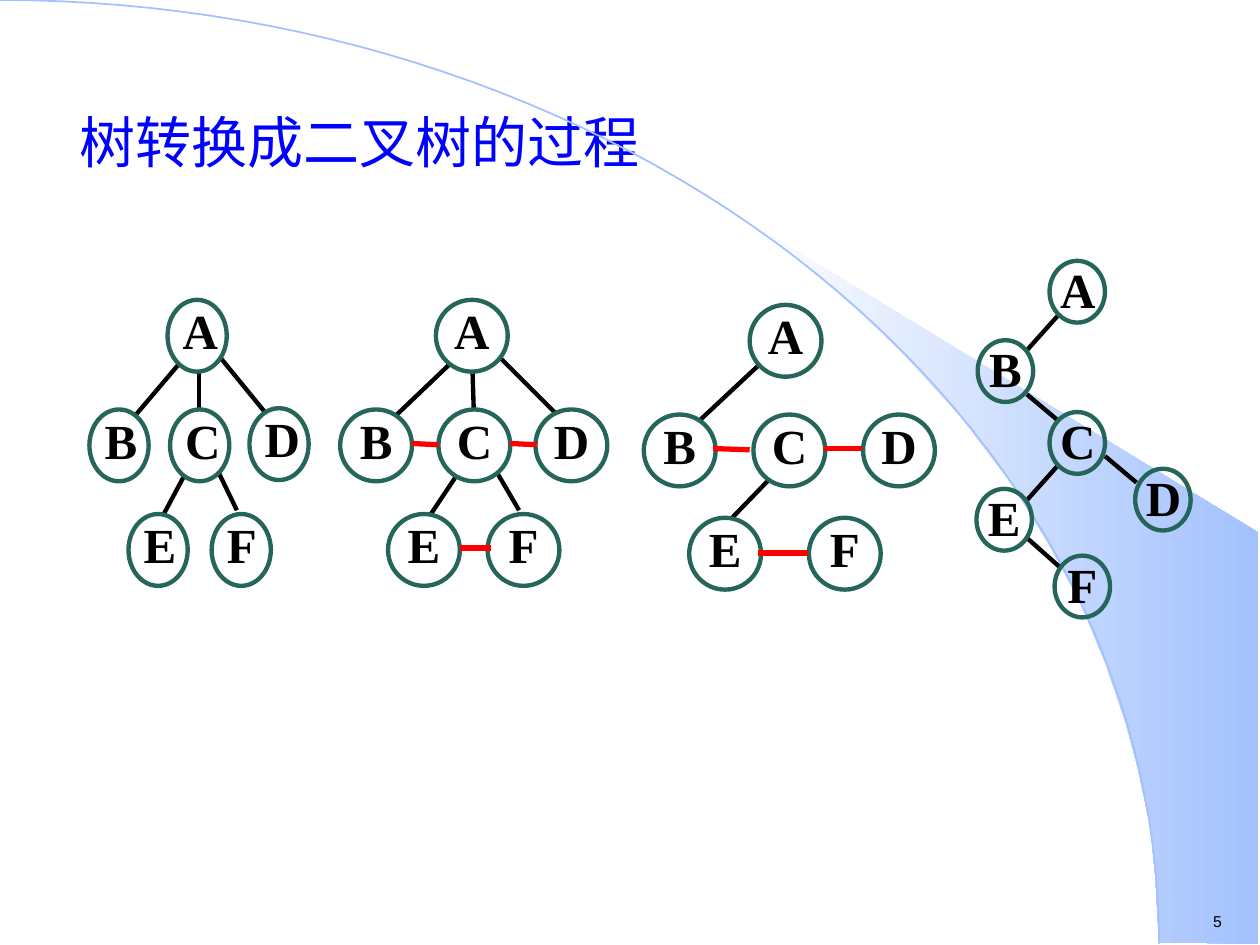
from math import cos, pi, sin

from lxml import etree
from pptx import Presentation
from pptx.dml.color import RGBColor
from pptx.enum.shapes import MSO_CONNECTOR, MSO_SHAPE
from pptx.enum.text import MSO_ANCHOR, MSO_AUTO_SIZE, PP_ALIGN
from pptx.oxml.ns import qn
from pptx.util import Inches, Pt

STRAIGHT, OVAL = MSO_CONNECTOR.STRAIGHT, MSO_SHAPE.OVAL
LEFT, CENTER, TOP = PP_ALIGN.LEFT, PP_ALIGN.CENTER, MSO_ANCHOR.TOP
NO_RESIZE = MSO_AUTO_SIZE.NONE

COLORS = {
    "white": "FFFFFF",
    "sky": "A2C1FE",
    "title": "0000FF",
    "ink": "000000",
    "node": "26665A",
    "sibling": "FF0000",
}

WEDGE = [
    (9.2, 7.48), (9.99, 7.49), (9.99, 4.23), (5.89, 1.73), (6.24, 1.99),
    (6.53, 2.22), (6.85, 2.5), (7.16, 2.8), (7.62, 3.3), (8.03, 3.84),
    (8.32, 4.31), (8.58, 4.79), (8.78, 5.28), (8.93, 5.72), (9.03, 6.09),
    (9.13, 6.56), (9.17, 6.96),
]

TREES = [
    {
        "origin": (0.71, 2.38), "node": (0.47, 0.57), "label": 0.23,
        "nodes": {"A": (0.62, 0), "B": (0, 0.87), "C": (0.64, 0.87),
                  "D": (1.27, 0.86), "E": (0.31, 1.7), "F": (0.97, 1.7)},
        "branches": [(0.71, 0.51, 0.37, 0.91), (0.87, 0.56, 0.87, 0.87),
                     (1.04, 0.46, 1.4, 0.9), (0.75, 1.4, 0.59, 1.7),
                     (1.03, 1.38, 1.17, 1.67)],
        "siblings": [],
    },
    {
        "origin": (2.7, 2.38), "node": (0.57, 0.57), "label": 0.28,
        "nodes": {"A": (0.76, 0), "B": (0, 0.87), "C": (0.78, 0.87),
                  "D": (1.55, 0.87), "E": (0.38, 1.7), "F": (1.17, 1.7)},
        "branches": [(0.87, 0.51, 0.45, 0.91), (1.05, 0.56, 1.06, 0.87),
                     (1.27, 0.46, 1.71, 0.9), (0.92, 1.4, 0.72, 1.7),
                     (1.25, 1.38, 1.42, 1.67)],
        "siblings": [(0.57, 1.14, 0.78, 1.15), (1.35, 1.14, 1.56, 1.15),
                     (0.95, 1.97, 1.2, 1.97)],
    },
    {
        "origin": (5.11, 2.42), "node": (0.57, 0.57), "label": 0.28,
        "nodes": {"A": (0.84, 0), "B": (0, 0.87), "C": (0.87, 0.87),
                  "D": (1.74, 0.87), "E": (0.36, 1.69), "F": (1.31, 1.69)},
        "branches": [(0.91, 0.48, 0.45, 0.91), (0.99, 1.39, 0.7, 1.69)],
        "siblings": [(0.55, 1.14, 0.84, 1.15), (1.43, 1.14, 1.73, 1.14),
                     (0.91, 1.97, 1.3, 1.97)],
    },
    {
        "origin": (7.75, 2.07), "node": (0.44, 0.49), "label": 0.27,
        "nodes": {"A": (0.58, 0), "B": (0.01, 0.63), "C": (0.58, 1.2),
                  "D": (1.26, 1.65), "E": (0, 1.81), "F": (0.62, 2.34)},
        "branches": [(0.65, 0.43, 0.4, 0.71), (0.4, 1.06, 0.65, 1.27),
                     (0.65, 1.62, 0.4, 1.9), (0.39, 2.19, 0.66, 2.43),
                     (1.02, 1.55, 1.27, 1.76)],
        "siblings": [],
    },
]


def color(name):
    """Return the named colour."""
    return RGBColor.from_string(COLORS[name])


def write(box, text, size, font, ink="ink", bold=False, align=LEFT,
          spacing=1.0, margins=(0, 0), wrap=True):
    """Fill a box with one formatted paragraph."""
    frame = box.text_frame
    frame.auto_size = NO_RESIZE
    frame.word_wrap = wrap
    frame.vertical_anchor = TOP
    frame.margin_left = frame.margin_right = Inches(margins[0])
    frame.margin_top = frame.margin_bottom = Inches(margins[1])
    para = frame.paragraphs[0]
    para.alignment = align
    para.line_spacing = spacing
    para.space_before = Pt(0)
    span = para.add_run()
    span.text = text
    span.font.size = Pt(size)
    span.font.bold = bold
    span.font.name = font
    span.font.color.rgb = color(ink)
    east_asian = etree.SubElement(span.font._element, qn("a:ea"))
    east_asian.set("typeface", font)


def outline(page, points, closed):
    """Build a shadowless freeform through points given in inches."""
    start, *rest = [(Inches(x), Inches(y)) for x, y in points]
    builder = page.shapes.build_freeform(*start)
    builder.add_line_segments(rest, close=closed)
    shape = builder.convert_to_shape()
    shape.shadow.inherit = False
    return shape


def add_backdrop(page, width, height):
    """Draw the shaded wedge and the arc that spans the given box."""
    wedge = outline(page, WEDGE, True)
    wedge.line.fill.background()
    wedge.fill.gradient()
    wedge.fill.gradient_angle = 0
    for stop, name in zip(wedge.fill.gradient_stops, ("white", "sky")):
        stop.color.rgb = color(name)
    angles = [step * pi / 120 for step in range(61)]
    arc = outline(page, [(width * sin(a), height * (1 - cos(a))) for a in angles], False)
    arc.fill.background()
    arc.line.color.rgb = color("sky")
    arc.line.width = Pt(1)


def add_title(page, left, top, width, height):
    """Place the slide title in its box."""
    title = page.shapes.title
    title.left, title.top = Inches(left), Inches(top)
    title.width, title.height = Inches(width), Inches(height)
    write(title, "树转换成二叉树的过程", 32, "Noto Sans CJK SC", ink="title", spacing=0.9)


def add_edge(group, left, top, ends, ink, weight):
    """Draw one edge whose ends are relative to the tree's corner."""
    x1, y1, x2, y2 = ends
    edge = group.shapes.add_connector(
        STRAIGHT, Inches(left + x1), Inches(top + y1),
        Inches(left + x2), Inches(top + y2))
    edge.line.color.rgb = color(ink)
    edge.line.width = Pt(weight)
    etree.SubElement(edge._element.spPr, qn("a:effectLst"))


def add_node(group, letter, left, top, width, height, label_width):
    """Draw one ring with its centred letter."""
    ring = group.shapes.add_shape(
        OVAL, Inches(left), Inches(top), Inches(width), Inches(height))
    ring.shadow.inherit = False
    ring.fill.background()
    ring.line.color.rgb = color("node")
    ring.line.width = Pt(2.5)
    label = group.shapes.add_textbox(
        Inches(left + (width - label_width) / 2), Inches(top + 0.2 * height),
        Inches(label_width), Inches(0.35))
    write(label, letter, 28, "Times New Roman", bold=True, align=CENTER, spacing=0.75)


def add_tree(page, tree):
    """Draw one tree as a group at its origin."""
    group = page.shapes.add_group_shape()
    left, top = tree["origin"]
    for ends in tree["branches"]:
        add_edge(group, left, top, ends, "ink", 2.5)
    for letter, (x, y) in tree["nodes"].items():
        add_node(group, letter, left + x, top + y, *tree["node"], tree["label"])
    for ends in tree["siblings"]:
        add_edge(group, left, top, ends, "sibling", 3)


def add_page_number(page, left, top, width, height):
    """Write the page number in its box."""
    box = page.shapes.add_textbox(
        Inches(left), Inches(top), Inches(width), Inches(height))
    write(box, "5", 9, "Arial", margins=(0.1, 0.05), wrap=False)


def main():
    """Build the slide and save the deck."""
    deck = Presentation()
    deck.slide_width, deck.slide_height = Inches(10), Inches(7.5)
    page = deck.slides.add_slide(deck.slide_layouts[5])
    add_backdrop(page, 9.2, 7.49)
    add_page_number(page, 9.53, 7.19, 0.35, 0.25)
    add_title(page, 0.63, 0.91, 5.43, 0.46)
    for tree in TREES:
        add_tree(page, tree)
    deck.save("out.pptx")


if __name__ == "__main__":
    main()
